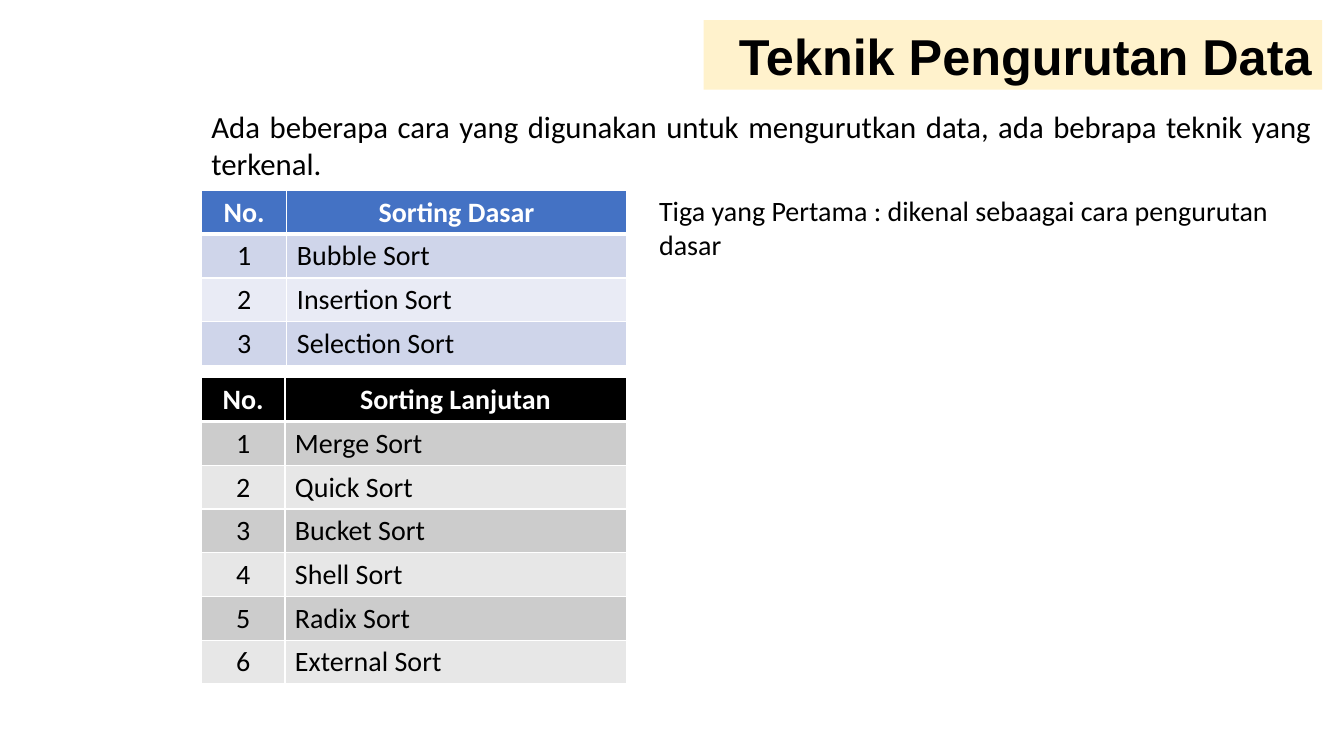
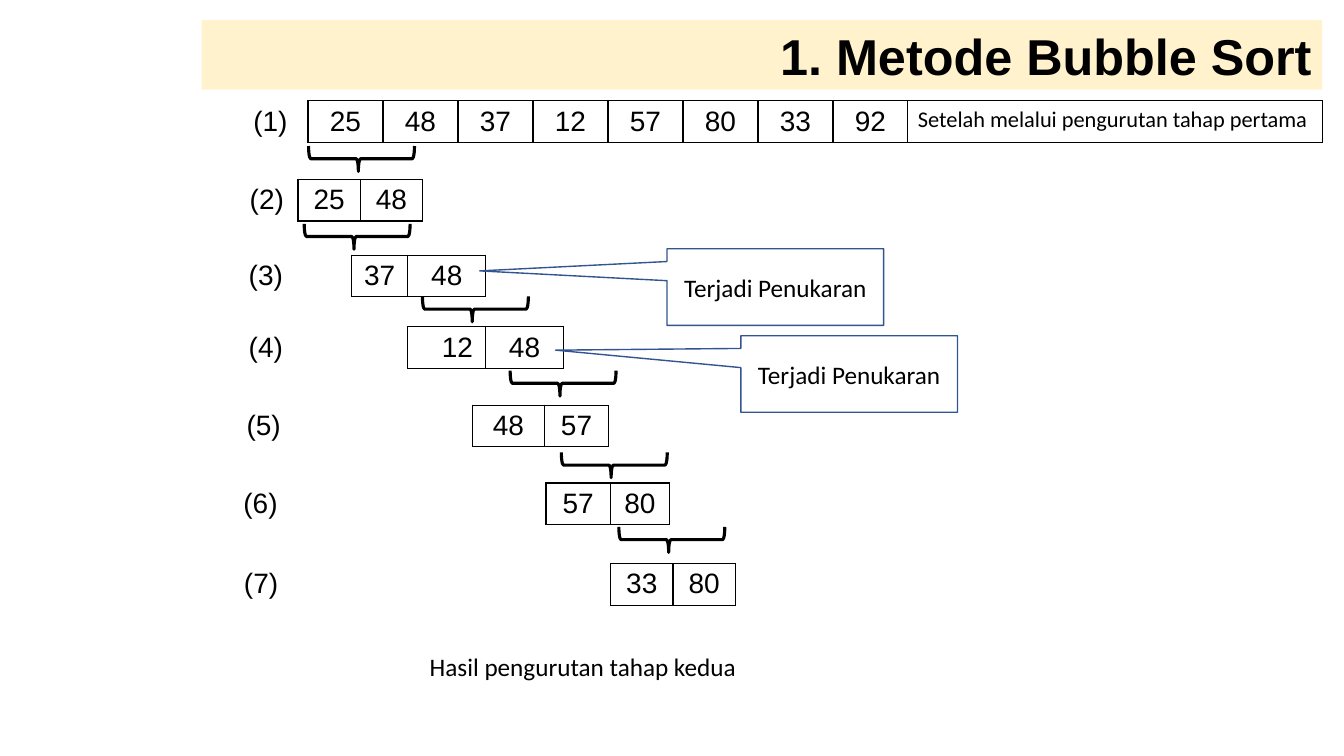
from dataclasses import dataclass

from lxml import etree
from pptx import Presentation
from pptx.dml.color import RGBColor
from pptx.enum.shapes import MSO_SHAPE
from pptx.enum.text import MSO_ANCHOR, MSO_AUTO_SIZE, PP_ALIGN
from pptx.oxml.ns import qn
from pptx.slide import Slide
from pptx.table import Table, _Cell
from pptx.text.text import TextFrame
from pptx.util import Cm, Pt

LEFT, CENTER, RIGHT, JUSTIFY = PP_ALIGN.LEFT, PP_ALIGN.CENTER, PP_ALIGN.RIGHT, PP_ALIGN.JUSTIFY
MIDDLE = MSO_ANCHOR.MIDDLE
BRACE, CALLOUT = MSO_SHAPE.RIGHT_BRACE, MSO_SHAPE.RECTANGULAR_CALLOUT

BLACK = RGBColor(0x00, 0x00, 0x00)
WHITE = RGBColor(0xFF, 0xFF, 0xFF)
CREAM = RGBColor(0xFF, 0xF2, 0xCC)
BLUE = RGBColor(0x44, 0x72, 0xC4)
MIST = RGBColor(0xCF, 0xD5, 0xEA)
PALE = RGBColor(0xE9, 0xEB, 0xF5)
GRAY = RGBColor(0xCC, 0xCC, 0xCC)
SILVER = RGBColor(0xE7, 0xE7, 0xE7)
NAVY = RGBColor(0x32, 0x54, 0x91)

HEAD, BODY = "Arial", "Calibri"
EDGE = 33.32
PLAIN = "{2D5ABB26-0587-4C30-8999-92F81FD0307C}"


@dataclass(frozen=True)
class Group:
    """A list of sorting methods with its table colours."""
    title: str
    names: tuple[str, ...]
    top: float
    widths: tuple[float, float]
    head: RGBColor
    bands: tuple[RGBColor, RGBColor]


@dataclass(frozen=True)
class Step:
    """One row of the sort; its last `boxed` cells have borders."""
    left: float
    top: float
    widths: tuple[float, ...]
    cells: tuple[str, ...]
    boxed: int = 2
    note: bool = False


@dataclass(frozen=True)
class Bubble:
    left: float
    top: float
    tip: tuple[float, float]


GROUPS = (
    Group("Sorting Dasar", ("Bubble Sort", "Insertion Sort", "Selection Sort"),
          4.8, (2.15, 8.55), BLUE, (MIST, PALE)),
    Group("Sorting Lanjutan",
          ("Merge Sort", "Quick Sort", "Bucket Sort", "Shell Sort", "Radix Sort", "External Sort"),
          9.52, (2.1, 8.6), BLACK, (GRAY, SILVER)),
)

SHORT = (1.52, 1.4, 1.42, 1.96)
STEPS = (
    Step(5.87, 2.54, (1.89,) * 9 + (10.45,),
         ("(1)", "25", "48", "37", "12", "57", "80", "33", "92",
          "Setelah melalui pengurutan tahap pertama"), 9, True),
    Step(5.94, 4.52, (1.57,) * 3, ("(2)", "25", "48")),
    Step(5.94, 6.43, SHORT, ("(3)", "", "37", "48")),
    Step(5.94, 8.23, SHORT, ("(4)", "", "", ""), 1),
    Step(7.9, 8.23, SHORT, ("", "", "12", "48"), 1),
    Step(5.64, 10.21, (2.01, 1.85, 2.41, 1.81, 1.62), ("(5)", "", "", "48", "57")),
    Step(5.56, 12.17, (2.01, 1.85, 2.41, 1.93, 1.62, 1.5), ("(6)", "", "", "", "57", "80")),
    Step(5.41, 14.2, (2.34, 2.13, 2.79, 2.72, 1.57, 1.57), ("(7)", "", "", "", "33", "80")),
)
# Centre of each brace
BRACES = ((9.11, 4.0), (9.0, 5.96), (11.98, 7.79), (14.19, 9.66), (15.48, 11.72), (16.93, 13.6))
BUBBLES = (Bubble(16.81, 6.27, (-1.365, -0.211)), Bubble(18.67, 8.46, (-1.355, -0.311)))


def put(frame: TextFrame, text: str, *, size: float = 20, font: str = BODY,
        color: RGBColor = BLACK, bold: bool = False, align: PP_ALIGN = LEFT) -> None:
    para = frame.paragraphs[0]
    para.alignment = align
    run = para.add_run()
    run.text = text
    run.font.size = Pt(size)
    run.font.name = font
    run.font.bold = bold
    run.font.color.rgb = color


def banner(deck: Presentation, text: str, left: float) -> Slide:
    """Add a slide whose title is a rounded band ending at the right edge."""
    slide = deck.slides.add_slide(deck.slide_layouts[5])
    title = slide.shapes.title
    title.left, title.top = Cm(left), Cm(0.51)
    title.width, title.height = Cm(EDGE - left), Cm(1.75)
    shape = etree.SubElement(title.element.spPr, qn("a:prstGeom"), prst="roundRect")
    etree.SubElement(shape, qn("a:avLst"))
    title.fill.solid()
    title.fill.fore_color.rgb = CREAM
    title.text_frame.auto_size = MSO_AUTO_SIZE.NONE
    title.text_frame.vertical_anchor = MIDDLE
    put(title.text_frame, text, size=36, font=HEAD, bold=True, align=RIGHT)
    return slide


def label(slide: Slide, text: str, left: float, top: float, width: float, height: float,
          **style) -> None:
    box = slide.shapes.add_textbox(Cm(left), Cm(top), Cm(width), Cm(height))
    box.text_frame.word_wrap = True
    put(box.text_frame, text, **style)


def grid(slide: Slide, left: float, top: float, widths: tuple[float, ...],
         rows: int, height: float) -> Table:
    """Add a table without any built-in style."""
    frame = slide.shapes.add_table(rows, len(widths), Cm(left), Cm(top),
                                   Cm(sum(widths)), Cm(rows * height))
    for style in frame.element.iter(qn("a:tableStyleId")):
        style.text = PLAIN
    table = frame.table
    table.first_row = table.horz_banding = False
    for column, width in zip(table.columns, widths):
        column.width = Cm(width)
    for row in table.rows:
        row.height = Cm(height)
    return table


def border(cell: _Cell, color: RGBColor, **sides: float) -> None:
    """Draw the given sides (L, R, T, B), widths in points; call before filling."""
    props = cell._tc.get_or_add_tcPr()
    for side, width in sides.items():
        line = etree.SubElement(props, qn(f"a:ln{side}"), w=str(Pt(width)))
        fill = etree.SubElement(line, qn("a:solidFill"))
        etree.SubElement(fill, qn("a:srgbClr"), val=str(color))


def roster(slide: Slide, group: Group) -> None:
    lines = [("No.", group.title)]
    lines += [(str(num), name) for num, name in enumerate(group.names, 1)]
    table = grid(slide, 5.08, group.top, group.widths, len(lines), 1.1)
    for row, line in enumerate(lines):
        head = row == 0
        for col, text in enumerate(line):
            cell = table.cell(row, col)
            border(cell, WHITE, L=1, R=1, T=3 if row == 1 else 1, B=3 if head else 1)
            cell.fill.solid()
            cell.fill.fore_color.rgb = group.head if head else group.bands[(row - 1) % 2]
            put(cell.text_frame, text, color=WHITE if head else BLACK, bold=head,
                align=CENTER if head or col == 0 else LEFT)


def draw(slide: Slide, step: Step) -> None:
    table = grid(slide, step.left, step.top, step.widths, 1, 1.05)
    last = len(step.cells) - 1
    first = last + 1 - step.boxed
    for col, text in enumerate(step.cells):
        cell = table.cell(0, col)
        if col >= first:
            border(cell, BLACK, L=1, R=1, T=1, B=1)
        elif col == first - 1:
            border(cell, BLACK, R=1)
        cell.fill.background()
        if step.note and col == last:
            put(cell.text_frame, text, size=16)
        elif text:
            put(cell.text_frame, text, font=HEAD, align=CENTER)


def brace(slide: Slide, x: float, y: float) -> None:
    """Draw a brace that opens upward, centred on x, y."""
    wide, tall = 0.64, 2.67
    shape = slide.shapes.add_shape(BRACE, Cm(x - wide / 2), Cm(y - tall / 2), Cm(wide), Cm(tall))
    shape.rotation = 90
    shape.adjustments[0], shape.adjustments[1] = 0.083, 0.53
    shape.shadow.inherit = False
    shape.fill.background()
    shape.line.color.rgb = BLACK
    shape.line.width = Pt(2.25)


def remark(slide: Slide, bubble: Bubble) -> None:
    shape = slide.shapes.add_shape(CALLOUT, Cm(bubble.left), Cm(bubble.top), Cm(5.46), Cm(1.93))
    shape.adjustments[0], shape.adjustments[1] = bubble.tip
    shape.shadow.inherit = False
    shape.fill.solid()
    shape.fill.fore_color.rgb = WHITE
    shape.line.color.rgb = NAVY
    shape.line.width = Pt(1)
    shape.text_frame.vertical_anchor = MIDDLE
    put(shape.text_frame, "Terjadi Penukaran", size=18, align=CENTER)


def methods(deck: Presentation) -> None:
    slide = banner(deck, "Teknik Pengurutan Data", 17.73)
    label(slide, "Ada beberapa cara yang digunakan untuk mengurutkan data, "
          "ada bebrapa teknik yang terkenal.", 5.08, 2.59, 28.22, 2.13, size=22, align=JUSTIFY)
    for group in GROUPS:
        roster(slide, group)
    label(slide, "Tiga yang Pertama : dikenal sebaagai cara pengurutan dasar",
          16.36, 4.75, 16.94, 1.96)


def sorting(deck: Presentation) -> None:
    slide = banner(deck, "1. Metode Bubble Sort", 5.08)
    for step in STEPS:
        draw(slide, step)
    for x, y in BRACES:
        brace(slide, x, y)
    for bubble in BUBBLES:
        remark(slide, bubble)
    label(slide, "Hasil pengurutan tahap kedua", 6.22, 16.28, 16.94, 1.02, size=18, align=CENTER)


def main() -> None:
    deck = Presentation()
    deck.slide_width, deck.slide_height = Cm(33.87), Cm(19.05)
    methods(deck)
    sorting(deck)
    deck.save("out.pptx")


if __name__ == "__main__":
    main()
